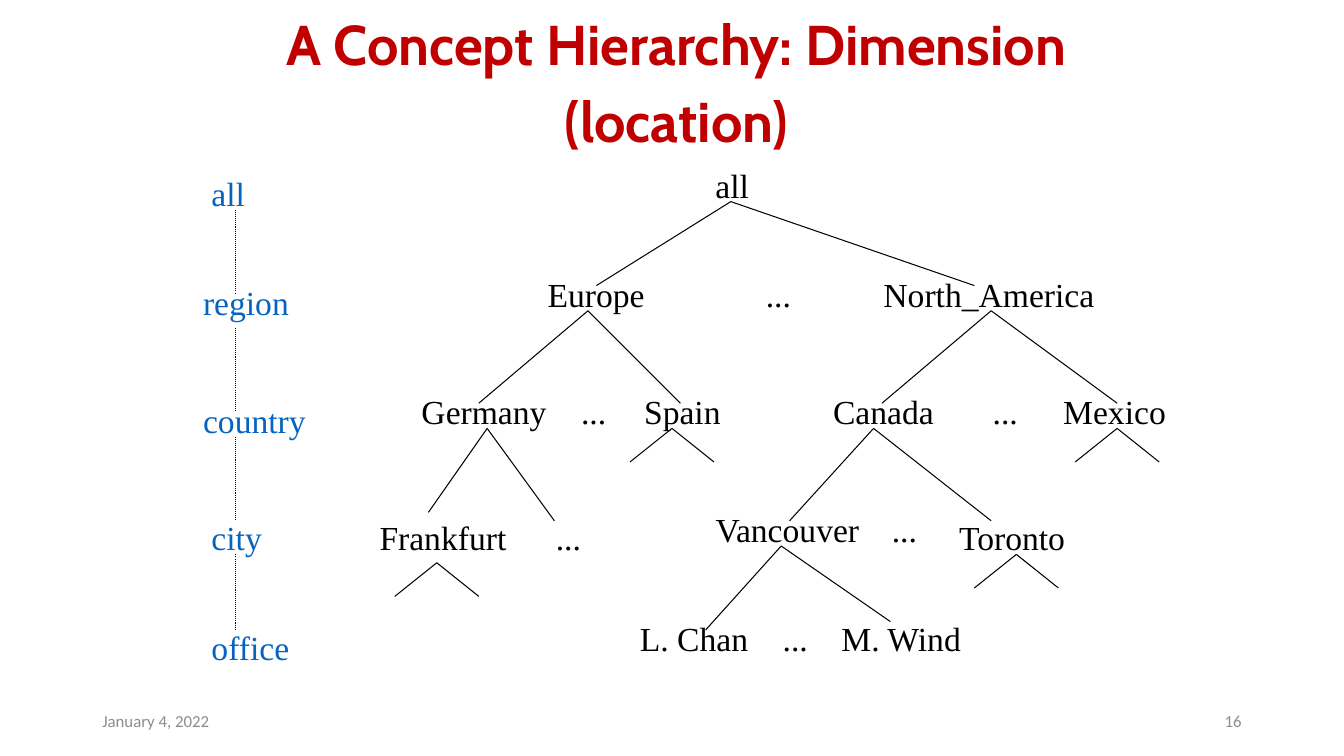
from dataclasses import dataclass

from lxml import etree
from pptx import Presentation
from pptx.dml.color import RGBColor
from pptx.enum.dml import MSO_LINE
from pptx.enum.shapes import MSO_CONNECTOR
from pptx.enum.text import MSO_ANCHOR, MSO_AUTO_SIZE, PP_ALIGN
from pptx.oxml.ns import qn
from pptx.slide import Slide
from pptx.text.text import TextFrame
from pptx.util import Pt

STRAIGHT = MSO_CONNECTOR.STRAIGHT
DOTTED = MSO_LINE.ROUND_DOT
TOP, MIDDLE = MSO_ANCHOR.TOP, MSO_ANCHOR.MIDDLE
GROW, FIXED = MSO_AUTO_SIZE.SHAPE_TO_FIT_TEXT, MSO_AUTO_SIZE.NONE
LEFT, CENTER, RIGHT = PP_ALIGN.LEFT, PP_ALIGN.CENTER, PP_ALIGN.RIGHT
TITLE_ONLY = 5

COLORS = {"title": "C00000", "level": "0563C1", "node": "000000", "line": "000000", "footer": "8C8C8C"}
LABEL_HEIGHT = 36
LEVEL_LINE_X = 168


@dataclass(frozen=True)
class Label:
    text: str
    left: float
    top: float
    width: float
    color: str = "node"


@dataclass(frozen=True)
class Fork:
    apex: tuple[float, float]
    ends: tuple[tuple[float, float], ...]


def stub(x: float, y: float) -> Fork:
    return Fork((x, y), ((x - 30, y + 24), (x + 30, y + 24)))


LEVELS = [
    Label("all", 144, 120, 39, "level"),
    Label("region", 138, 198, 77, "level"),
    Label("country", 138, 282, 89, "level"),
    Label("city", 144, 366, 52, "level"),
    Label("office", 144, 444, 72, "level"),
]
NODES = [
    Label("all", 504, 114, 39),
    Label("Europe", 384, 192, 85),
    Label("North_America", 624, 192, 166),
    Label("Germany", 294, 276, 105),
    Label("Spain", 453, 276, 70),
    Label("Canada", 588, 276, 88),
    Label("Mexico", 752.4, 276, 89),
    Label("Frankfurt", 264, 366, 106),
    Label("Vancouver", 504, 360, 121),
    Label("Toronto", 678, 366, 93),
    Label("L. Chan", 450, 438, 93),
    Label("M. Wind", 594, 438, 102),
]
ELLIPSES = [
    Label("...", left, top, 33)
    for left, top in [(540, 192), (408, 276), (702, 276), (390, 366), (630, 360), (552, 438)]
]
FORKS = [
    Fork((522, 144), ((426, 204), (696, 204))),
    Fork((420, 222), ((342, 288), (486, 288))),
    Fork((708, 222), ((630, 288), (798, 288))),
    Fork((348, 306), ((306, 366), (396, 372))),
    Fork((624, 306), ((564, 372), (708, 372))),
    Fork((558, 390), ((504, 450), (636, 444))),
    stub(480, 306),
    stub(798, 306),
    stub(312, 402),
    stub(726, 396),
]
LEVEL_GAPS = [(150, 210), (234, 294), (312, 372), (396, 450)]


def write_text(frame: TextFrame, text: str, *, font: str, size: float, color: str,
               bold: bool = False, align: PP_ALIGN = LEFT, anchor: MSO_ANCHOR = TOP,
               wrap: bool = True, fit: MSO_AUTO_SIZE = GROW, spacing: float = 1.0) -> None:
    frame.word_wrap = wrap
    frame.auto_size = fit
    frame.vertical_anchor = anchor
    para = frame.paragraphs[0]
    para.alignment = align
    para.line_spacing = spacing
    span = para.add_run()
    span.text = text
    span.font.name = font
    span.font.size = Pt(size)
    span.font.bold = bold
    span.font.color.rgb = RGBColor.from_string(COLORS[color])


def add_title(page: Slide, text: str) -> None:
    title = page.shapes.title
    title.left, title.top, title.width, title.height = Pt(168), Pt(-5), Pt(630), Pt(119)
    write_text(title.text_frame, text, font="Cabin", size=40, color="title", bold=True,
               align=CENTER, anchor=MIDDLE, spacing=1.15)


def add_footer(page: Slide, text: str, left: float, align: PP_ALIGN) -> None:
    box = page.shapes.add_textbox(Pt(left), Pt(500.5), Pt(216), Pt(28.75))
    write_text(box.text_frame, text, font="Calibri", size=12, color="footer",
               align=align, anchor=MIDDLE, fit=FIXED)


def add_label(page: Slide, label: Label) -> None:
    box = page.shapes.add_textbox(Pt(label.left), Pt(label.top), Pt(label.width), Pt(LABEL_HEIGHT))
    write_text(box.text_frame, label.text, font="Times New Roman", size=24,
               color=label.color, wrap=False)


def add_line(page: Slide, start: tuple[float, float], end: tuple[float, float],
             dash: MSO_LINE | None = None) -> None:
    line = page.shapes.add_connector(STRAIGHT, *map(Pt, start + end))
    line.line.color.rgb = RGBColor.from_string(COLORS["line"])
    line.line.width = Pt(0.75)
    if dash is not None:
        line.line.dash_style = dash
    etree.SubElement(line._element.spPr, qn("a:effectLst"))


def main() -> None:
    deck = Presentation()
    deck.slide_width, deck.slide_height = Pt(960), Pt(540)
    page = deck.slides.add_slide(deck.slide_layouts[TITLE_ONLY])
    add_title(page, "A Concept Hierarchy: Dimension (location)")
    add_footer(page, "January 4, 2022", 66, LEFT)
    add_footer(page, "16", 678, RIGHT)
    for label in LEVELS + NODES + ELLIPSES:
        add_label(page, label)
    for fork in FORKS:
        for end in fork.ends:
            add_line(page, fork.apex, end)
    for top, bottom in LEVEL_GAPS:
        add_line(page, (LEVEL_LINE_X, top), (LEVEL_LINE_X, bottom), DOTTED)
    deck.save("out.pptx")


if __name__ == "__main__":
    main()
